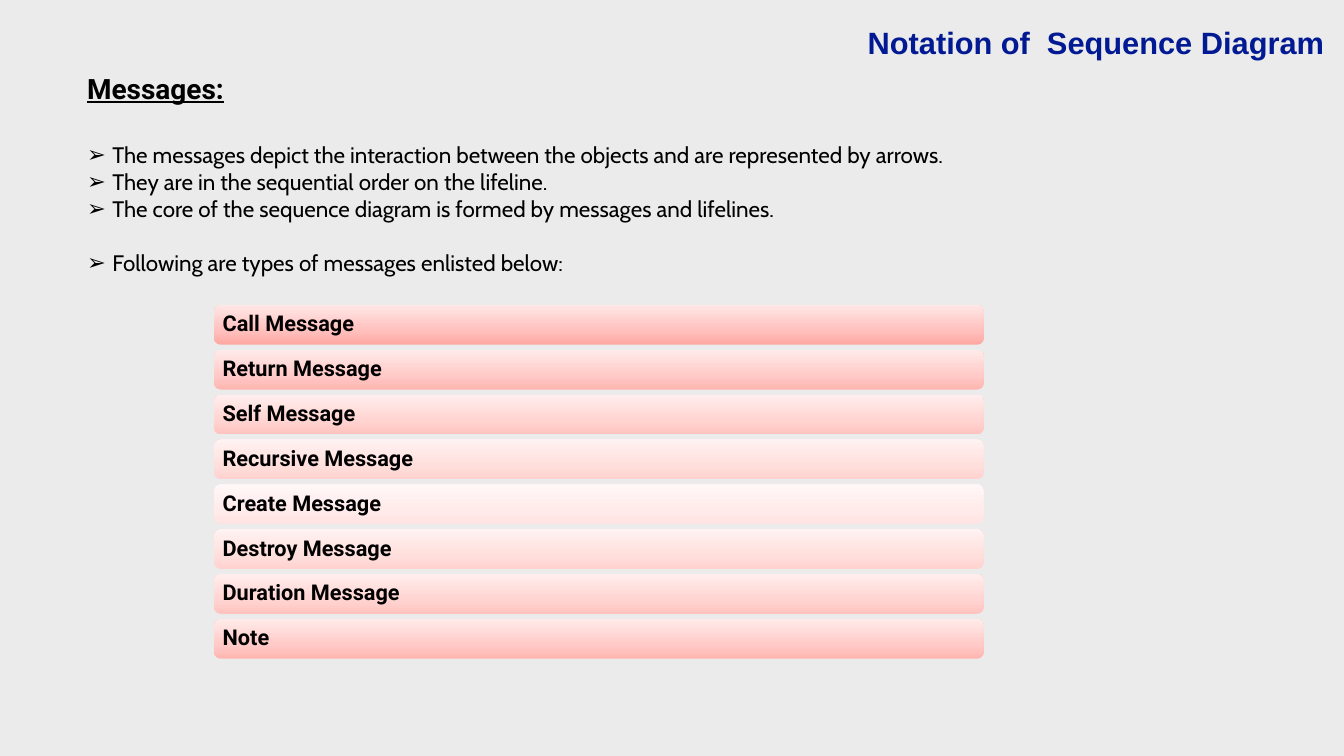
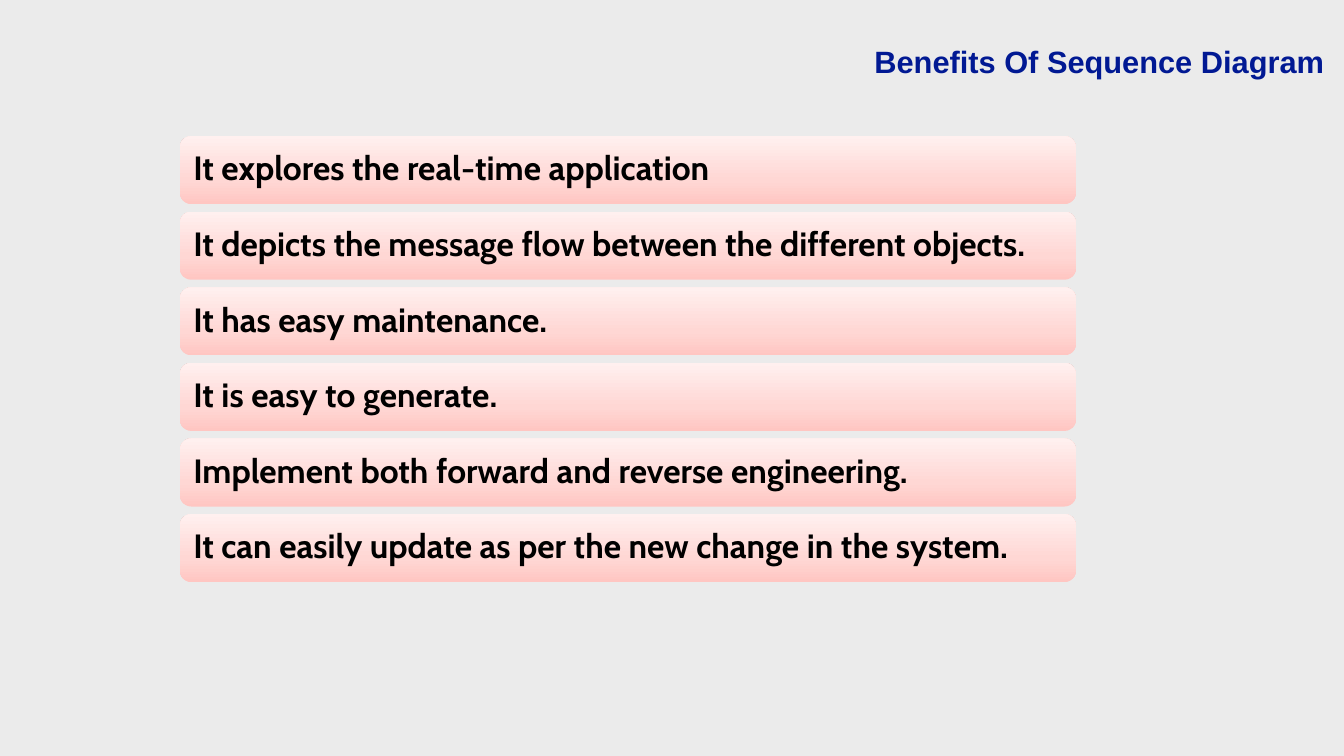
from copy import deepcopy

from lxml import etree
from pptx import Presentation
from pptx.dml.color import RGBColor
from pptx.enum import shapes, text
from pptx.oxml.ns import qn
from pptx.util import Inches, Pt

BACK = RGBColor(0xEB, 0xEB, 0xEB)
NAVY = RGBColor(0x01, 0x19, 0x93)
BLACK = RGBColor(0, 0, 0)


def tone(*codes):
    return [RGBColor.from_string(code) for code in codes]


# Each tone runs from the bottom of a bar to its top.
FADE = [
    tone("FFA7A1", "FFC0BD", "FFE7E6"),
    tone("FFB5B0", "FFCAC7", "FFEBEA"),
    tone("FFC3BF", "FFD4D1", "FFEEED"),
    tone("FFD2CF", "FFDFDC", "FFF2F2"),
    tone("FFE3E2", "FFEBEA", "FFF7F7"),
]
FADE += FADE[3:0:-1]
PINK = tone("FFC6C2", "FFD7D4", "FFF0EF")
STOPS = (0, 0.35, 1)

POINTS = [
    "The messages depict the interaction between the objects and are represented by arrows.",
    "They are in the sequential order on the lifeline.",
    "The core of the sequence diagram is formed by messages and lifelines.",
    "Following are types of messages enlisted below:",
]
TYPES = [
    "Call Message",
    "Return Message",
    "Self Message",
    "Recursive Message",
    "Create Message",
    "Destroy Message",
    "Duration Message",
    "Note",
]
GAINS = [
    "It explores the real-time application",
    "It depicts the message flow between the different objects.",
    "It has easy maintenance.",
    "It is easy to generate.",
    "Implement both forward and reverse engineering.",
    "It can easily update as per the new change in the system.",
]


def write(para, words, font, size, color=BLACK, bold=False):
    para.text = words
    for run in para.runs:
        run.font.name = font
        run.font.size = Pt(size)
        run.font.bold = bold
        run.font.color.rgb = color


def pad(frame, inset):
    frame.margin_left = frame.margin_right = Inches(inset)
    frame.margin_top = frame.margin_bottom = Inches(inset)


def add_box(slide, left, top, width, height):
    box = slide.shapes.add_textbox(
        Inches(left), Inches(top), Inches(width), Inches(height))
    box.text_frame.word_wrap = True
    return box.text_frame


def add_page(deck, title, top, height):
    """Add a blank slide with the shared background and right-hand title."""
    slide = deck.slides.add_slide(deck.slide_layouts[6])
    slide.background.fill.solid()
    slide.background.fill.fore_color.rgb = BACK
    frame = add_box(slide, 9.73, top, 16.62, height)
    pad(frame, 0.06)
    para = frame.paragraphs[0]
    write(para, title, "Arial", 44, NAVY, bold=True)
    para.alignment = text.PP_ALIGN.RIGHT
    return slide


def set_bullet(para, mark, indent):
    props = para._p.get_or_add_pPr()
    props.set("marL", str(Inches(indent)))
    props.set("indent", str(-Inches(indent)))
    etree.SubElement(props, qn("a:buFont"), typeface="Arial")
    etree.SubElement(props, qn("a:buChar"), char=mark)


def add_notes(slide, head, points):
    """Write an underlined heading with bullets, the last one set apart."""
    frame = add_box(slide, 1.63, 1.32, 22.42, 4.71)
    para = frame.paragraphs[0]
    write(para, head, "Roboto", 40, bold=True)
    para.runs[0].font.underline = True
    para.line_spacing = 1.07
    para.space_after = Pt(52)
    for point in points:
        para = frame.add_paragraph()
        write(para, point, "Cabin", 32)
        para.alignment = text.PP_ALIGN.JUSTIFY
        if point == points[-1]:
            para.space_before = Pt(39)
        set_bullet(para, "➢", 0.5)


def fill_fade(shape, colors):
    shape.fill.gradient()
    shape.fill.gradient_angle = 90
    stops = shape._element.spPr.find(".//" + qn("a:gsLst"))
    stops.insert(1, deepcopy(stops[0]))
    for stop, place, color in zip(shape.fill.gradient_stops, STOPS, colors):
        stop.position = place
        stop.color.rgb = color


def add_bar(slide, words, spot, colors, font, size, inset):
    bar = slide.shapes.add_shape(
        shapes.MSO_SHAPE.ROUNDED_RECTANGLE, *map(Inches, spot))
    bar.shadow.inherit = False
    bar.line.fill.background()
    fill_fade(bar, colors)
    frame = bar.text_frame
    frame.word_wrap = True
    frame.vertical_anchor = text.MSO_ANCHOR.MIDDLE
    pad(frame, inset)
    para = frame.paragraphs[0]
    write(para, words, font, size, bold=True)
    para.alignment = text.PP_ALIGN.LEFT
    para.line_spacing = 0.9


def add_stack(slide, items, tones, spot, pitch, font, size, inset):
    """Stack one bar per item, starting at spot, pitch inches apart."""
    left, top, width, height = spot
    for row, (item, colors) in enumerate(zip(items, tones)):
        place = (left, top + row * pitch, width, height)
        add_bar(slide, item, place, colors, font, size, inset)


def main():
    deck = Presentation()
    deck.slide_width = Inches(26.67)
    deck.slide_height = Inches(15)

    slide = add_page(deck, "Notation of  Sequence Diagram", 0.41, 1.59)
    add_notes(slide, "Messages:", POINTS)
    add_stack(slide, TYPES, FADE, (4.25, 6.05, 15.27, 0.79), 0.89,
              "Roboto", 31, 0.13)

    slide = add_page(deck, "Benefits Of Sequence Diagram", 0.78, 0.85)
    add_stack(slide, GAINS, [PINK] * len(GAINS), (3.57, 2.7, 17.78, 1.35), 1.5,
              "Cabin", 48, 0.2)

    deck.save("out.pptx")


if __name__ == "__main__":
    main()
